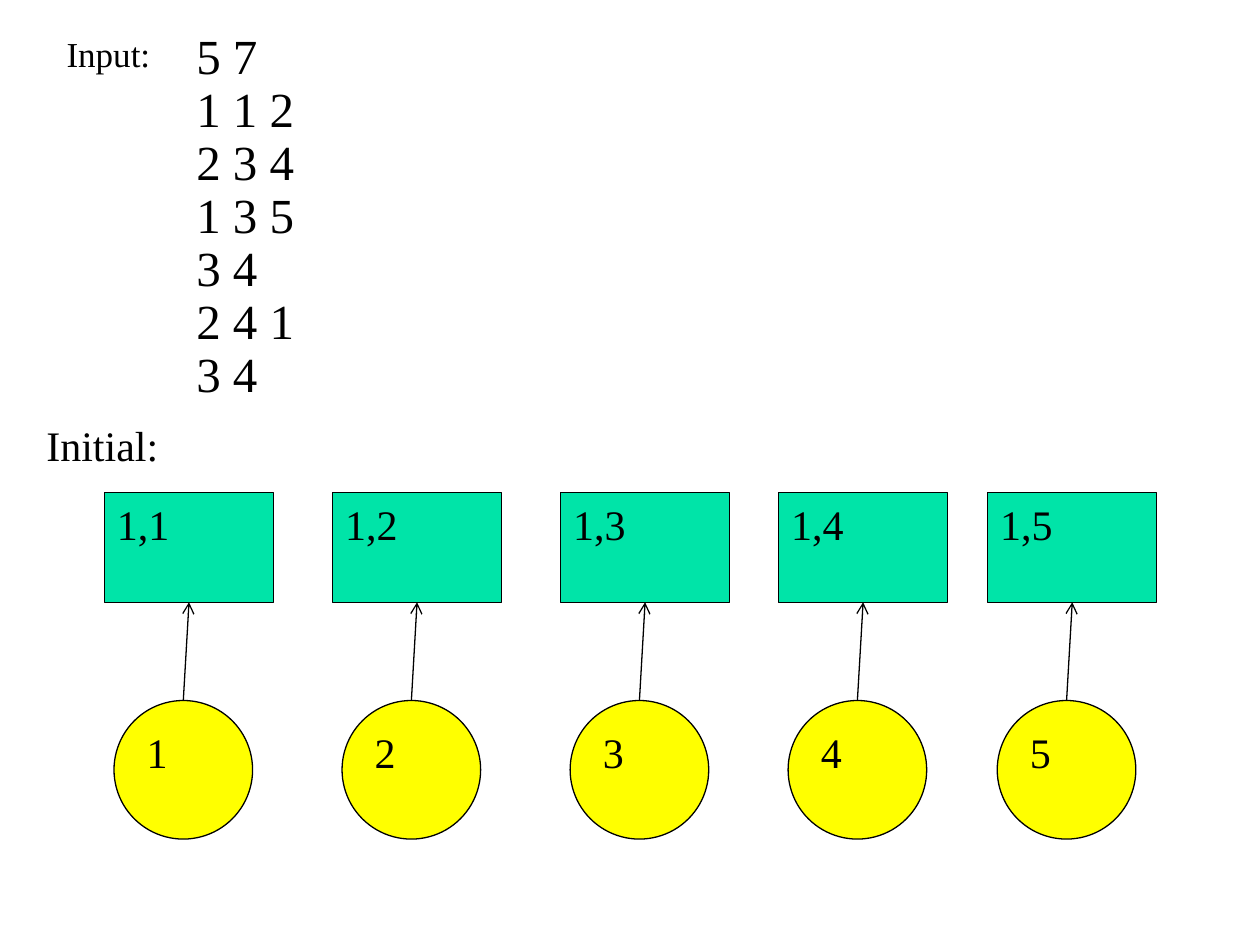
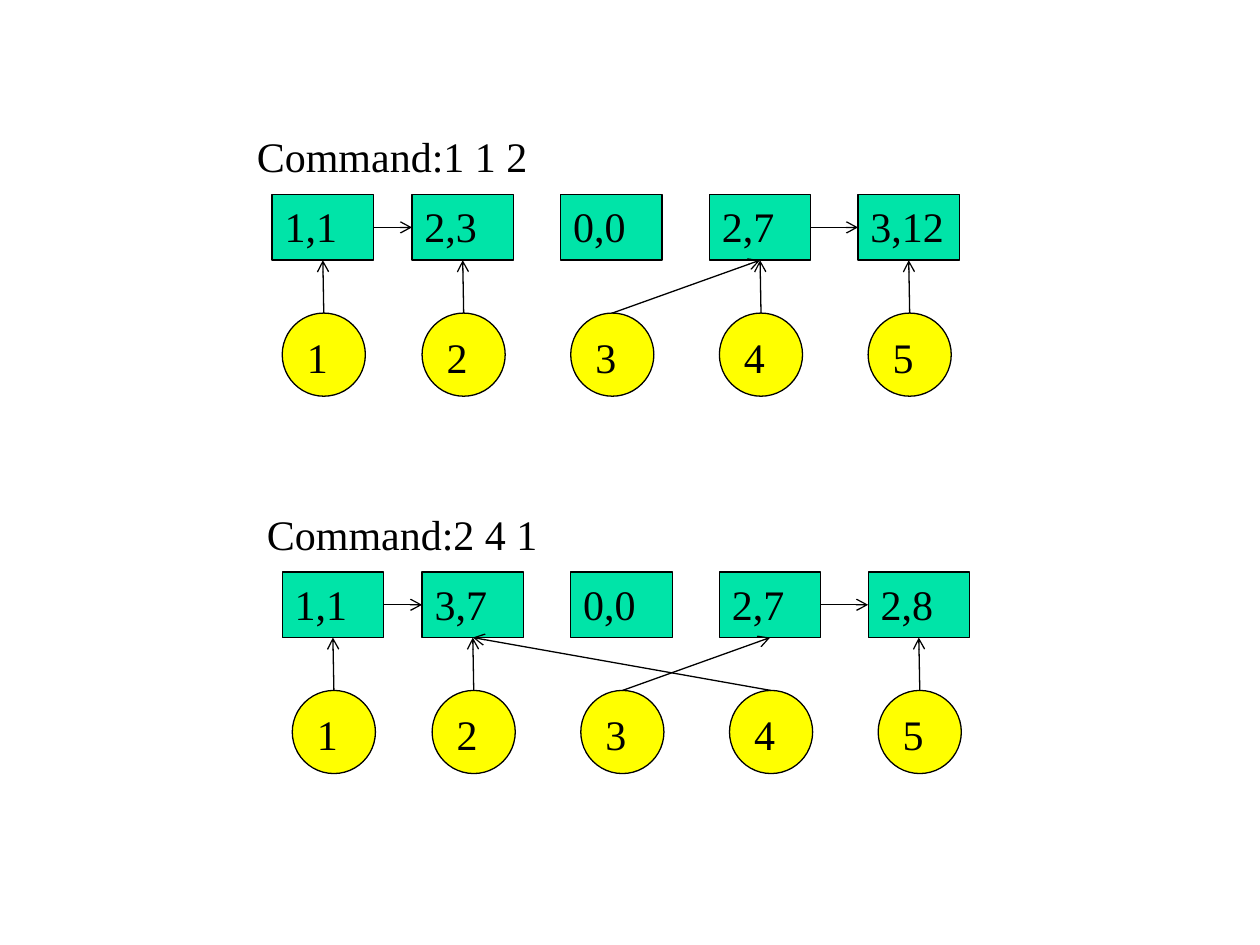
from dataclasses import dataclass

from lxml.etree import SubElement
from pptx import Presentation
from pptx.dml.color import RGBColor
from pptx.enum.shapes import MSO_CONNECTOR, MSO_SHAPE
from pptx.enum.text import MSO_ANCHOR, MSO_AUTO_SIZE, PP_ALIGN
from pptx.oxml.ns import qn
from pptx.util import Inches, Pt


@dataclass(frozen=True)
class Theme:
    font: str = "Times New Roman"
    ink: RGBColor = RGBColor(0, 0, 0)
    set_fill: RGBColor = RGBColor(0x00, 0xE4, 0xA8)
    element_fill: RGBColor = RGBColor(0xFF, 0xFF, 0x00)
    line_width: float = 0.75
    small: int = 20
    body: int = 24
    large: int = 28


@dataclass(frozen=True)
class ForestLayout:
    """Lengths in grid cells, measured from the top left of the first set."""
    columns: tuple
    set_size: tuple
    element_size: float
    element_left: float
    element_top: float


THEME = Theme()
SLIDE_WIDTH, SLIDE_HEIGHT = Inches(10), Inches(7.5)
GRID_COLUMNS = 100
CELL = SLIDE_WIDTH / GRID_COLUMNS

INITIAL_LAYOUT = ForestLayout((0, 18.1, 36.2, 53.5, 70.1), (13.4, 8.7), 11, 0.75, 16.5)
COMMAND_LAYOUT = ForestLayout((0, 11.1, 22.9, 34.7, 46.5), (8.05, 5.2), 6.6, 0.8, 9.4)

INPUT_LINES = ("5 7", "1 1 2", "2 3 4", "1 3 5", "3 4", "2 4 1", "3 4")
BOTTOM, LEFT, RIGHT, TOP = 2, 1, 3, 0  # connection sites


def cells(*lengths):
    return [round(length * CELL) for length in lengths]


def style_text(text_frame, size, spacing=None):
    text_frame.vertical_anchor = MSO_ANCHOR.TOP
    for paragraph in text_frame.paragraphs:
        paragraph.alignment = PP_ALIGN.LEFT
        paragraph.line_spacing = spacing
        for run in paragraph.runs:
            run.font.name = THEME.font
            run.font.size = Pt(size)
            run.font.color.rgb = THEME.ink


def style_line(line):
    line.color.rgb = THEME.ink
    line.width = Pt(THEME.line_width)


def add_label(slide, text, box, size=THEME.body, wrap=True, spacing=None):
    text_frame = slide.shapes.add_textbox(*cells(*box)).text_frame
    text_frame.word_wrap = wrap
    text_frame.auto_size = MSO_AUTO_SIZE.SHAPE_TO_FIT_TEXT
    text_frame.text = text
    style_text(text_frame, size, spacing)


def add_node(slide, kind, text, box, fill):
    shape = slide.shapes.add_shape(kind, *cells(*box))
    shape.shadow.inherit = False
    shape.fill.solid()
    shape.fill.fore_color.rgb = fill
    style_line(shape.line)
    shape.text_frame.word_wrap = False
    shape.text_frame.text = text
    style_text(shape.text_frame, THEME.body)
    return shape


def add_arrow(slide, start, start_site, end, end_site):
    connector = slide.shapes.add_connector(MSO_CONNECTOR.STRAIGHT, 0, 0, 0, 0)
    connector.begin_connect(start, start_site)
    connector.end_connect(end, end_site)
    style_line(connector.line)
    SubElement(connector.line._get_or_add_ln(), qn("a:tailEnd"), type="arrow")
    SubElement(connector._element.spPr, qn("a:effectLst"))


def add_forest(slide, left, top, layout, values, owners, links=()):
    """Draw sets above their elements; owners and links hold set numbers from 1."""
    elements = [
        add_node(slide, MSO_SHAPE.OVAL, str(number),
                 (left + column + layout.element_left, top + layout.element_top,
                  layout.element_size, layout.element_size), THEME.element_fill)
        for number, column in enumerate(layout.columns, 1)]
    sets = [
        add_node(slide, MSO_SHAPE.RECTANGLE, value,
                 (left + column, top, *layout.set_size), THEME.set_fill)
        for value, column in zip(values, layout.columns)]
    for element, owner in zip(elements, owners):
        add_arrow(slide, element, TOP, sets[owner - 1], BOTTOM)
    for source, target in links:
        add_arrow(slide, sets[source - 1], RIGHT, sets[target - 1], LEFT)


def add_command(slide, left, top, command, values, owners):
    add_label(slide, f"Command:{command}", (left, top, 23.5, 5), wrap=False)
    add_forest(slide, left + 2.2, top + 5.55, COMMAND_LAYOUT, values, owners,
               links=((1, 2), (4, 5)))


def build_initial_slide(slide):
    add_label(slide, "\n".join(INPUT_LINES), (14.6, 2.1, 12.6, 30.4),
              THEME.large, spacing=0.9)
    add_label(slide, "Input:", (4.3, 2.1, 9.4, 4.4), THEME.small)
    add_label(slide, "Initial:", (2.7, 32.8, 13.4, 5))
    add_forest(slide, 8.3, 39.1, INITIAL_LAYOUT,
               [f"1,{number}" for number in range(1, 6)], range(1, 6))


def build_commands_slide(slide):
    add_command(slide, 19.4, 9.9, "1 1 2",
                ("1,1", "2,3", "0,0", "2,7", "3,12"), (1, 2, 4, 4, 5))
    add_command(slide, 20.2, 39.85, "2 4 1",
                ("1,1", "3,7", "0,0", "2,7", "2,8"), (1, 2, 4, 2, 5))


def main():
    presentation = Presentation()
    presentation.slide_width, presentation.slide_height = SLIDE_WIDTH, SLIDE_HEIGHT
    blank = presentation.slide_layouts[6]
    for build in (build_initial_slide, build_commands_slide):
        build(presentation.slides.add_slide(blank))
    presentation.save("out.pptx")


if __name__ == "__main__":
    main()
